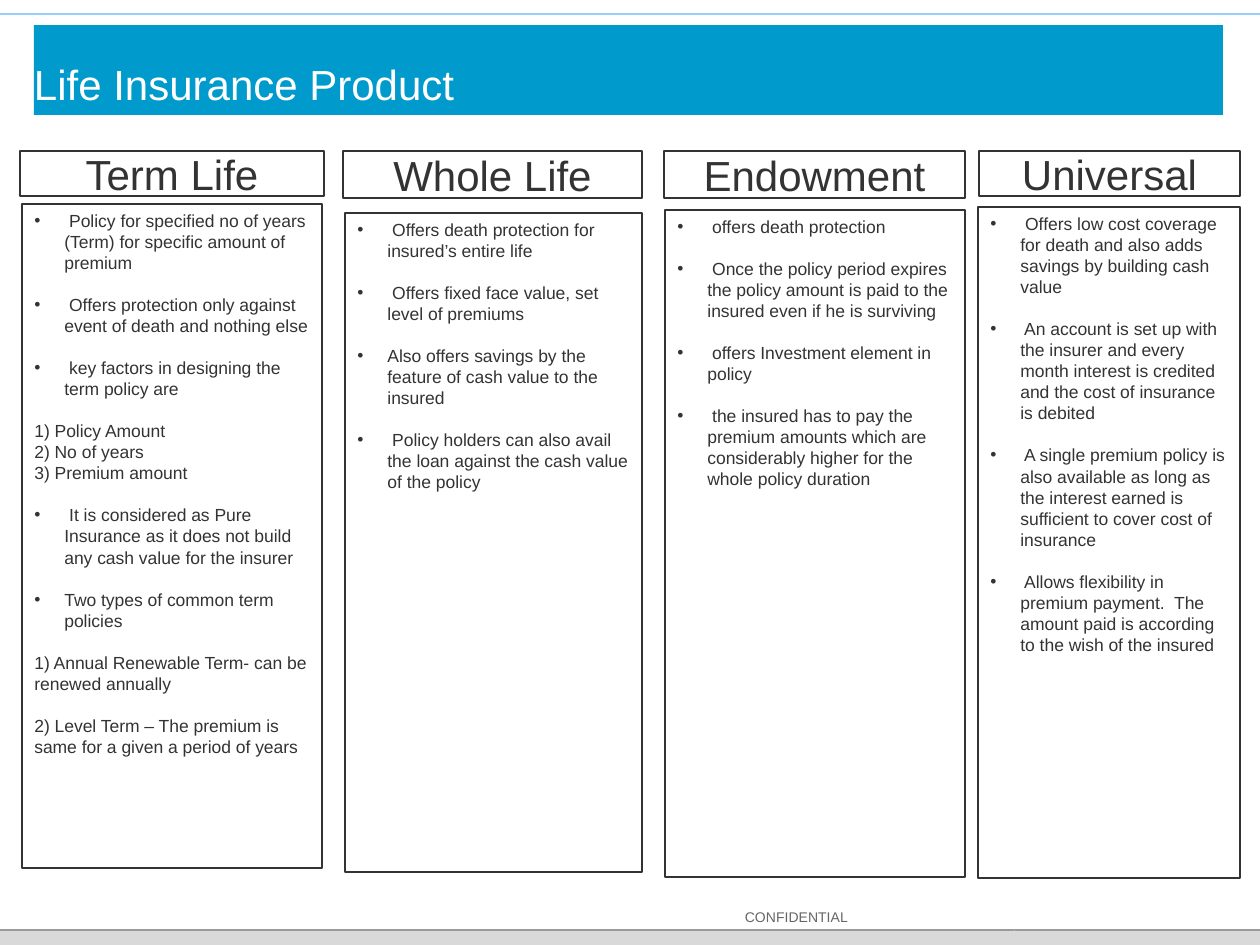
"""Build the slide that compares four life insurance products."""
from pptx import Presentation
from pptx.dml.color import RGBColor
from pptx.enum.shapes import MSO_CONNECTOR, MSO_SHAPE
from pptx.enum.text import MSO_ANCHOR, PP_ALIGN
from pptx.oxml.ns import qn
from pptx.util import Emu, Pt
from lxml.etree import SubElement

SCALE = 914400 / 126
WIDTH, HEIGHT = 1260, 945
FONT = "Arial"
COLORS = {
    "band": "009BCC", "title": "FFFFFF", "text": "333333", "footer": "666666",
    "bar": "D9D9D9", "bar_edge": "9A9A9A", "top_rule": "99CCFF",
}
BULLET, NUMBER, NEXT = "bullet", "number", "next number"

# Each product: heading, heading box, body box, body paragraphs.
PRODUCTS = [
    ("Term Life", (20, 151, 304, 45), (22, 204, 300, 664), [
        (BULLET, " Policy for specified no of years (Term) for specific amount of premium"),
        (BULLET, " Offers protection only against event of death and nothing else"),
        (BULLET, " key factors in designing the term policy are"),
        (NUMBER, "1) Policy Amount"),
        (NEXT, "2) No of years"),
        (NEXT, "3) Premium amount"),
        (BULLET, " It is considered as Pure Insurance as it does not build any cash value for the insurer"),
        (BULLET, "Two types of common term policies"),
        (NUMBER, "1) Annual Renewable Term- can be renewed annually"),
        (NUMBER, "2) Level Term – The premium is same for a given a period of years"),
    ]),
    ("Whole Life", (343, 151, 299, 47), (345, 213, 297, 659), [
        (BULLET, " Offers death protection for insured’s entire life"),
        (BULLET, " Offers fixed face value, set level of premiums"),
        (BULLET, "Also offers savings by the feature of cash value to the insured"),
        (BULLET, " Policy holders can also avail the loan against the cash value of the policy"),
    ]),
    ("Endowment", (664, 151, 301, 47), (665, 210, 300, 667), [
        (BULLET, " offers death protection"),
        (BULLET, " Once the policy period expires the policy amount is paid to the insured even if he is surviving"),
        (BULLET, " offers Investment element in policy"),
        (BULLET, " the insured has to pay the premium amounts which are considerably higher "
                 "for the whole policy duration"),
    ]),
    ("Universal", (979, 151, 261, 45), (978, 207, 262, 671), [
        (BULLET, " Offers low cost coverage for death and also adds savings by building cash value"),
        (BULLET, " An account is set up with the insurer and every month interest is credited "
                 "and the cost of insurance is debited"),
        (BULLET, " A single premium policy is also available as long as the interest earned is "
                 "sufficient to cover cost of insurance"),
        (BULLET, " Allows flexibility in premium payment.  The amount paid is according to the "
                 "wish of the insured"),
    ]),
]


def px(length):
    """Turn pixels into EMU."""
    return Emu(round(length * SCALE))


def rgb(name):
    """Look up a named colour."""
    return RGBColor.from_string(COLORS[name])


def style(paragraph, size, color, align=PP_ALIGN.LEFT):
    """Set the font and alignment of a paragraph."""
    paragraph.alignment = align
    paragraph.font.name = FONT
    paragraph.font.size = Pt(size)
    paragraph.font.color.rgb = rgb(color)


def add_bullet(paragraph):
    """Give a paragraph a round bullet with a hanging indent."""
    properties = paragraph._p.get_or_add_pPr()
    properties.set("marL", str(px(30)))
    properties.set("indent", str(-px(30)))
    SubElement(properties, qn("a:buFont")).set("typeface", FONT)
    SubElement(properties, qn("a:buChar")).set("char", "•")


def add_filled(slide, preset, box, color):
    """Add a borderless filled shape."""
    filled = slide.shapes.add_shape(preset, *map(px, box))
    filled.shadow.inherit = False
    filled.fill.solid()
    filled.fill.fore_color.rgb = rgb(color)
    filled.line.fill.background()


def add_rule(slide, y, color):
    """Add a thin line across the slide."""
    rule = slide.shapes.add_connector(MSO_CONNECTOR.STRAIGHT, 0, px(y), px(WIDTH), px(y))
    rule.line.color.rgb = rgb(color)
    rule.line.width = Pt(0.75)
    SubElement(rule._element.spPr, qn("a:effectLst"))


def add_frame(slide, box, anchor, wrap):
    """Add an outlined rectangle and return its text frame."""
    outline = slide.shapes.add_shape(MSO_SHAPE.RECTANGLE, *map(px, box))
    outline.shadow.inherit = False
    outline.fill.background()
    outline.line.color.rgb = rgb("text")
    outline.line.width = Pt(0.75)
    outline.text_frame.vertical_anchor = anchor
    outline.text_frame.word_wrap = wrap
    return outline.text_frame


def add_heading(slide, box, heading):
    """Add the name of a product in its frame."""
    paragraph = add_frame(slide, box, MSO_ANCHOR.MIDDLE, False).paragraphs[0]
    paragraph.text = heading
    style(paragraph, 24, "text", PP_ALIGN.CENTER)


def add_body(slide, box, points):
    """Add the framed list of points about a product."""
    body = add_frame(slide, box, MSO_ANCHOR.TOP, True)
    for index, (kind, point) in enumerate(points):
        paragraph = body.add_paragraph() if index else body.paragraphs[0]
        paragraph.text = point
        if index and kind != NEXT:
            paragraph.space_before = Pt(12)
        if kind == BULLET:
            add_bullet(paragraph)
        style(paragraph, 10, "text")


def set_title(slide, text):
    """Place and format the title band."""
    title = slide.shapes.title
    title.left, title.top, title.width, title.height = map(px, (34, 25, 1189, 90))
    title.fill.solid()
    title.fill.fore_color.rgb = rgb("band")
    frame = title.text_frame
    frame.text = text
    frame.vertical_anchor = MSO_ANCHOR.BOTTOM
    frame.margin_left = 0
    frame.paragraphs[0].line_spacing = 0.8
    style(frame.paragraphs[0], 24, "title")


def add_footer(slide, text):
    """Add the confidentiality note."""
    frame = slide.shapes.add_textbox(*map(px, (564, 902, 465, 29))).text_frame
    frame.word_wrap = True
    frame.vertical_anchor = MSO_ANCHOR.BOTTOM
    frame.text = text
    style(frame.paragraphs[0], 8, "footer", PP_ALIGN.CENTER)


def main():
    """Build and save the slide."""
    deck = Presentation()
    deck.slide_width, deck.slide_height = px(WIDTH), px(HEIGHT)
    slide = deck.slides.add_slide(deck.slide_layouts[5])
    add_filled(slide, MSO_SHAPE.RECTANGLE, (0, 930, WIDTH, 15), "bar")
    add_rule(slide, 930, "bar_edge")
    add_rule(slide, 14, "top_rule")
    add_filled(slide, MSO_SHAPE.RIGHT_TRIANGLE, (1014, 930, 15, 15), "bar")
    add_footer(slide, "CONFIDENTIAL")
    set_title(slide, "Life Insurance Product")
    for heading, heading_box, body_box, points in PRODUCTS:
        add_heading(slide, heading_box, heading)
        add_body(slide, body_box, points)
    deck.save("out.pptx")


if __name__ == "__main__":
    main()
